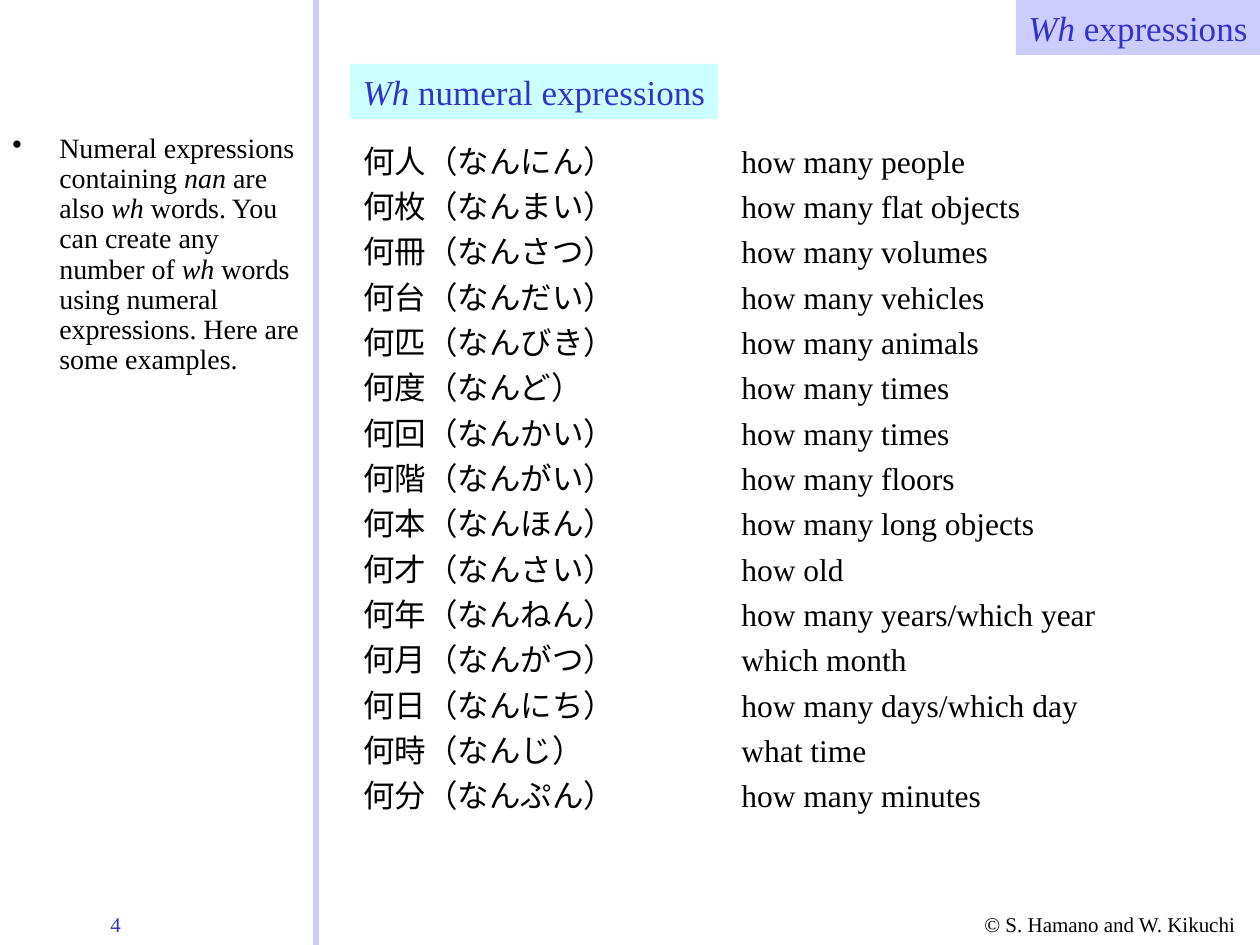
from dataclasses import dataclass

from lxml import etree
from pptx import Presentation
from pptx.dml.color import RGBColor
from pptx.enum.shapes import MSO_CONNECTOR, MSO_SHAPE
from pptx.enum.text import MSO_ANCHOR, PP_ALIGN
from pptx.oxml.ns import qn
from pptx.util import Emu, Pt

LINE = MSO_CONNECTOR.STRAIGHT
RECT = MSO_SHAPE.RECTANGLE
TOP = MSO_ANCHOR.TOP
LEFT, RIGHT = PP_ALIGN.LEFT, PP_ALIGN.RIGHT
SCALE = 914400 / 126


@dataclass(frozen=True)
class Theme:
    """Colours, fonts and type sizes of the slide."""
    ink: str = "000000"
    blue: str = "3333CC"
    lilac: str = "CCCCFF"
    aqua: str = "CCFFFF"
    latin: str = "Times New Roman"
    kana: str = "Noto Sans CJK JP"
    head: int = 20
    list: int = 18
    body: int = 16
    foot: int = 12


ROWS = [
    ("何人（なんにん）", "how many people"),
    ("何枚（なんまい）", "how many flat objects"),
    ("何冊（なんさつ）", "how many volumes"),
    ("何台（なんだい）", "how many vehicles"),
    ("何匹（なんびき）", "how many animals"),
    ("何度（なんど）", "how many times"),
    ("何回（なんかい）", "how many times"),
    ("何階（なんがい）", "how many floors"),
    ("何本（なんほん）", "how many long objects"),
    ("何才（なんさい）", "how old"),
    ("何年（なんねん）", "how many years/which year"),
    ("何月（なんがつ）", "which month"),
    ("何日（なんにち）", "how many days/which day"),
    ("何時（なんじ）", "what time"),
    ("何分（なんぷん）", "how many minutes"),
]
NOTE = ("Numeral expressions containing *nan* are also *wh* words. "
        "You can create any number of *wh* words using numeral "
        "expressions. Here are some examples.")


def px(size):
    """Turn px into EMU."""
    return Emu(round(size * SCALE))


def put(item, form):
    """Set each format value on an item."""
    for name, value in form.items():
        setattr(item, name, value)


def add(node, tag, **form):
    """Append a drawing element to a node."""
    return etree.SubElement(node, qn(tag), form)


def mix(text):
    """Split text into runs, with starred words in italics."""
    return [(part, {"italic": i % 2 == 1})
            for i, part in enumerate(text.split("*")) if part]


class Page:
    """The theme and the current slide."""

    def __init__(self, deck, theme):
        """Add a title-only slide."""
        self.theme = theme
        self.slide = deck.slides.add_slide(deck.slide_layouts[5])

    def fill(self, shape, runs, size, color, para=None, wrap=True):
        """Write one paragraph per list of runs."""
        frame = shape.text_frame
        put(frame, {"word_wrap": wrap, "vertical_anchor": TOP,
                    "margin_left": px(12.6), "margin_right": px(12.6),
                    "margin_top": px(6.3), "margin_bottom": px(6.3)})
        for i, parts in enumerate(runs):
            line = frame.add_paragraph() if i else frame.paragraphs[0]
            put(line, {"alignment": LEFT, **(para or {})})
            for text, form in parts:
                run = line.add_run()
                run.text = text
                put(run.font, {"name": self.theme.latin, "size": Pt(size), **form})
                run.font.color.rgb = RGBColor.from_string(color)
                add(run.font._element, "a:ea", typeface=run.font.name)
        return frame.paragraphs

    def text(self, box, runs, size, color, para=None):
        """Add a text box."""
        shape = self.slide.shapes.add_textbox(*map(px, box))
        return self.fill(shape, runs, size, color, para)

    def paint(self, shape, color):
        """Give a shape a plain fill."""
        shape.fill.solid()
        shape.fill.fore_color.rgb = RGBColor.from_string(color)
        shape.line.fill.background()

    def title(self, box, text, color):
        """Place and format the title."""
        shape = self.slide.shapes.title
        put(shape, dict(zip(("left", "top", "width", "height"), map(px, box))))
        self.paint(shape, color)
        self.fill(shape, [mix(text)], self.theme.head, self.theme.blue, wrap=False)
        shape.text_frame.margin_right = 0

    def label(self, box, text, color):
        """Add a filled label."""
        shape = self.slide.shapes.add_shape(RECT, *map(px, box))
        shape.shadow.inherit = False
        self.paint(shape, color)
        self.fill(shape, [mix(text)], self.theme.head, self.theme.blue,
                  {"alignment": RIGHT}, False)

    def rule(self, ends, color, width):
        """Add a straight line."""
        line = self.slide.shapes.add_connector(LINE, *map(px, ends))
        line.line.color.rgb = RGBColor.from_string(color)
        line.line.width = Pt(width)
        add(line._element.spPr, "a:effectLst")

    def point(self, box, text):
        """Add a bulleted note."""
        para = self.text(box, [mix(text)], self.theme.body, self.theme.ink,
                         {"line_spacing": 0.9})[0]
        prop = para._p.get_or_add_pPr()
        prop.set("marL", str(px(47)))
        prop.set("indent", str(px(-47)))
        add(add(prop, "a:buClr"), "a:srgbClr", val=self.theme.ink)
        add(prop, "a:buChar", char="•")

    def pairs(self, box, rows, stop):
        """Add a list of words and meanings, lined up at a tab stop."""
        runs = [[(word + "\t", {"name": self.theme.kana}), (gloss, {})]
                for word, gloss in rows]
        for para in self.text(box, runs, self.theme.list, self.theme.ink,
                              {"line_spacing": Pt(25.92)}):
            tabs = add(para._p.get_or_add_pPr(), "a:tabLst")
            add(tabs, "a:tab", pos=str(px(stop)), algn="l")


def main():
    """Build the slide."""
    deck = Presentation()
    put(deck, {"slide_width": px(1260), "slide_height": px(945)})
    theme = Theme()
    page = Page(deck, theme)
    page.text((972, 905, 288, 38), [mix("© S. Hamano and W. Kikuchi")],
              theme.foot, theme.ink)
    page.text((98, 905, 112, 38), [mix("4")], theme.foot, theme.blue)
    page.rule((316, 0, 316, 945), theme.lilac, 3)
    page.point((0, 128, 316, 268), NOTE)
    page.label((1016, 0, 244, 55), "*Wh* expressions", theme.lilac)
    page.pairs((351, 128, 780, 693), ROWS, 378)
    page.title((350, 64, 368, 55), "*Wh *numeral expressions", theme.aqua)
    deck.save("out.pptx")


if __name__ == "__main__":
    main()
